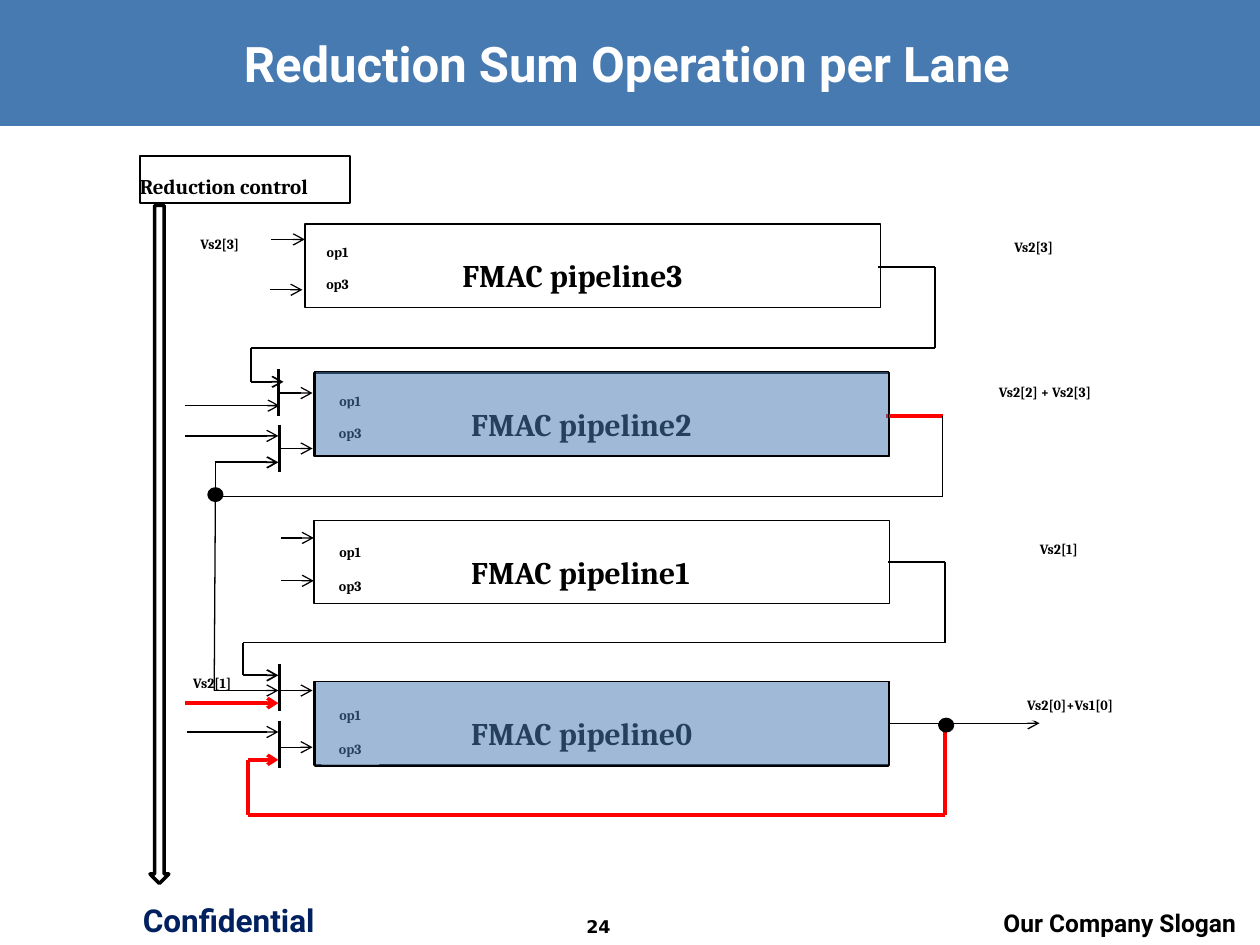
from lxml.etree import SubElement
from pptx import Presentation
from pptx.dml.color import RGBColor
from pptx.enum.shapes import MSO_CONNECTOR, MSO_SHAPE
from pptx.enum.text import MSO_ANCHOR, PP_ALIGN
from pptx.oxml.ns import qn
from pptx.util import Pt

INK = {"band": "477AB1", "navy": "002060", "black": "000000",
       "white": "FFFFFF", "red": "FF0000"}
PIPES = [("FMAC pipeline3", 174.2, 128.2, 176.4, (130.3, 148.3)),
         ("FMAC pipeline2", 179.3, 213.1, 183.6, (215.3, 233.3)),
         ("FMAC pipeline1", 179.3, 297.4, 183.6, (301.7, 321.1)),
         ("FMAC pipeline0", 179.3, 389.5, 183.6, (394.6, 414))]
FEEDS = [(154.8, 174.2, 136.8), (154.1, 172.8, 165.6),
         (159.1, 178.6, 224.6), (159.8, 178.6, 256.3),
         (105.8, 159.8, 231.8), (105.8, 159.1, 249.1),
         (160.6, 179.3, 307.4), (160.6, 179.3, 331.9),
         (159.8, 178.6, 394.6), (159.8, 178.6, 427), (106.6, 159.1, 418.3)]
GATES = [(159.1, 211), (159.8, 242.6), (159.8, 379.4), (159.8, 411.8)]
ROUTES = [
    ("black", 1, True, [(502, 152.6), (534.2, 152.6), (534.2, 198.7),
                        (143.3, 198.7), (143.3, 218.2), (162, 218.2)]),
    ("red", 2, False, [(506.2, 237.6), (538.6, 237.6)]),
    ("black", 1, True, [(538.6, 237.6), (538.6, 283.7), (123.1, 283.7),
                        (123.1, 264.2), (159.1, 264.2)]),
    ("black", 0.75, True, [(123.1, 283.7), (122.4, 394.6), (159.1, 394.6)]),
    ("black", 1, True, [(507.6, 321.1), (540, 321.1), (540, 367.2),
                        (139, 367.2), (139, 385.9), (159.1, 385.9)]),
    ("black", 0.75, True, [(507.6, 413.3), (594, 413.3)]),
    ("red", 2, True, [(540, 413.3), (540, 465.8), (141.8, 465.8),
                      (141.8, 434.2), (159.1, 434.2)]),
    ("red", 2, True, [(105.8, 401.8), (159.1, 401.8)])]
NOTES = [("Vs2[3]", 105.1, 125.3, 41), ("Vs2[3]", 534.2, 127.4, 113),
         ("Vs2[2] + Vs2[3]", 540.7, 210.2, 113),
         ("Vs2[1]", 548.6, 299.5, 113), ("Vs2[0]+Vs1[0]", 555.1, 388.8, 113)]


def tint(name):
    """Return a named colour."""
    return RGBColor.from_string(INK[name])


def write(shape, text, size, face, ink="black", align=PP_ALIGN.CENTER):
    """Put one bold paragraph in a shape and return it."""
    frame = shape.text_frame
    frame.word_wrap = True
    frame.text = text
    para = frame.paragraphs[0]
    para.alignment = align
    font = para.font
    font.size, font.name, font.bold = Pt(size), face, True
    font.color.rgb = tint(ink)
    return para


def block(slide, x, y, w, h, fill=None, line=None, kind=MSO_SHAPE.RECTANGLE):
    """Add a flat preset shape."""
    shape = slide.shapes.add_shape(kind, Pt(x), Pt(y), Pt(w), Pt(h))
    shape.shadow.inherit = False
    if fill:
        shape.fill.solid()
        shape.fill.fore_color.rgb = tint(fill)
    else:
        shape.fill.background()
    if line:
        shape.line.color.rgb = tint("black")
        shape.line.width = Pt(line)
    else:
        shape.line.fill.background()
    return shape


def label(slide, text, x, y, w):
    """Add a small white signal label."""
    para = write(block(slide, x, y, w, 23, "white"), text, 8, "Cambria")
    para.line_spacing = 1.5


def panel(slide, text, x, y, w, h, size, indent=0):
    """Add an outlined box with text from its left edge."""
    shape = block(slide, x, y, w, h, "white", 1)
    frame = shape.text_frame
    frame.margin_left = frame.margin_right = 0
    frame.vertical_anchor = MSO_ANCHOR.MIDDLE
    para = write(shape, text, size, "Cambria", align=PP_ALIGN.LEFT)
    para.line_spacing = 1.5
    para._p.get_or_add_pPr().set("indent", str(Pt(indent)))


def route(slide, ink, width, arrow, stops):
    """Join the stops with straight lines, with an arrow on the last."""
    for start, end in zip(stops, stops[1:]):
        wire = slide.shapes.add_connector(
            MSO_CONNECTOR.STRAIGHT, *(Pt(v) for v in start + end))
        wire.line.color.rgb = tint(ink)
        wire.line.width = Pt(width)
        if arrow and end == stops[-1]:
            SubElement(wire.line._get_or_add_ln(), qn("a:tailEnd"), type="arrow")
        SubElement(wire.element.spPr, qn("a:effectLst"))


def veil(slide, y):
    """Cover a pipeline with a clear blue tint."""
    shape = block(slide, 180, y, 327.6, 48.2, "band", 0.75)
    color = shape.element.spPr.find(qn("a:solidFill"))[0]
    SubElement(color, qn("a:alpha"), val="52000")


def head(slide):
    """Add the title on its band."""
    title = slide.shapes.title
    band = block(slide, 0, 0, 720, 72, "band")
    band.element.addnext(title.element)
    title.left, title.top, title.width, title.height = map(Pt, (15.8, 12.2, 684.7, 47.5))
    title.text_frame.vertical_anchor = MSO_ANCHOR.MIDDLE
    para = write(title, "Reduction Sum Operation per Lane", 28, "Roboto", "white")
    props = para._p.pPr.find(qn("a:defRPr"))
    glow = SubElement(props, qn("a:effectLst"))
    props.find(qn("a:solidFill")).addnext(glow)
    shade = SubElement(glow, qn("a:outerShdw"), dist="38100", dir="2700000")
    SubElement(shade, qn("a:srgbClr"), val=INK["black"])


def foot(slide, text, x, y, w, h, size, face, ink, align):
    """Add one footer text."""
    box = slide.shapes.add_textbox(Pt(x), Pt(y), Pt(w), Pt(h))
    write(box, text, size, face, ink, align)


def main():
    """Build and save the slide."""
    deck = Presentation()
    deck.slide_width, deck.slide_height = Pt(720), Pt(540)
    slide = deck.slides.add_slide(deck.slide_layouts[5])
    head(slide)
    foot(slide, "Confidential", 67.7, 511.2, 126, 30, 18, "Roboto", "navy", PP_ALIGN.CENTER)
    foot(slide, "Our Company Slogan", 542.9, 515.5, 170.6, 19.4, 14, "Roboto", "black",
         PP_ALIGN.RIGHT)
    foot(slide, "24", 308.9, 519.8, 66.2, 20.2, 10, "DejaVu Sans", "black", PP_ALIGN.CENTER)
    label(slide, "Vs2[1]", 100.8, 376.6, 41)
    for name, x, y, left, tops in PIPES:
        panel(slide, name, x, y, 329, 47.5, 18, 90)
        for text, top in zip(("op1", "op3"), tops):
            label(slide, text, left, top, 33.1)
    for start, end, y in FEEDS:
        route(slide, "black", 0.75, True, [(start, y), (end, y)])
    for x, y in GATES:
        route(slide, "black", 1.75, False, [(x, y), (x, y + 27)])
    for stops in ROUTES:
        route(slide, *stops)
    for x, y in ((119.5, 279.4), (537.1, 411.1)):
        block(slide, x, y, 7.2, 6.5, "black", 2, MSO_SHAPE.OVAL)
    panel(slide, "Reduction control", 79.9, 89.3, 120.2, 26.6, 12)
    block(slide, 85.7, 117.4, 10.8, 387.4, None, 2, MSO_SHAPE.DOWN_ARROW)
    for y in (212.4, 389.5):
        veil(slide, y)
    for note in NOTES:
        label(slide, *note)
    deck.save("out.pptx")


if __name__ == "__main__":
    main()
